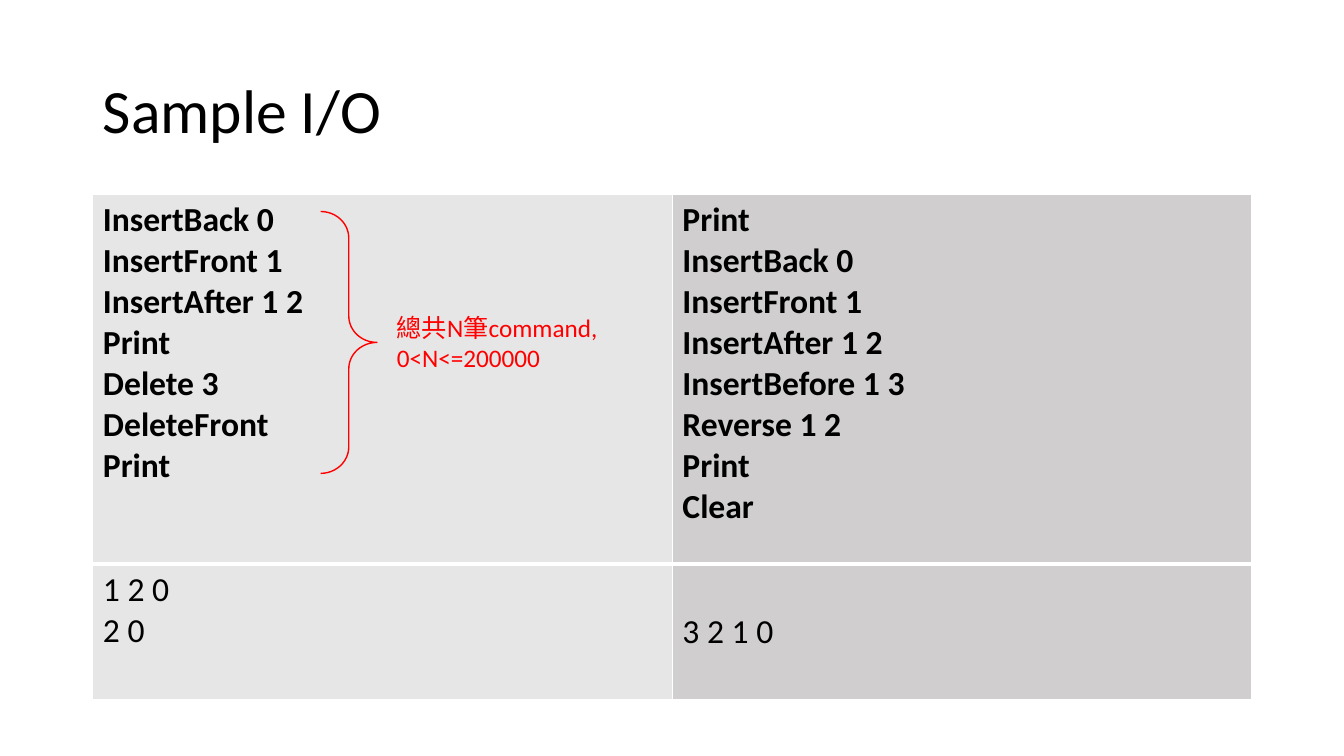
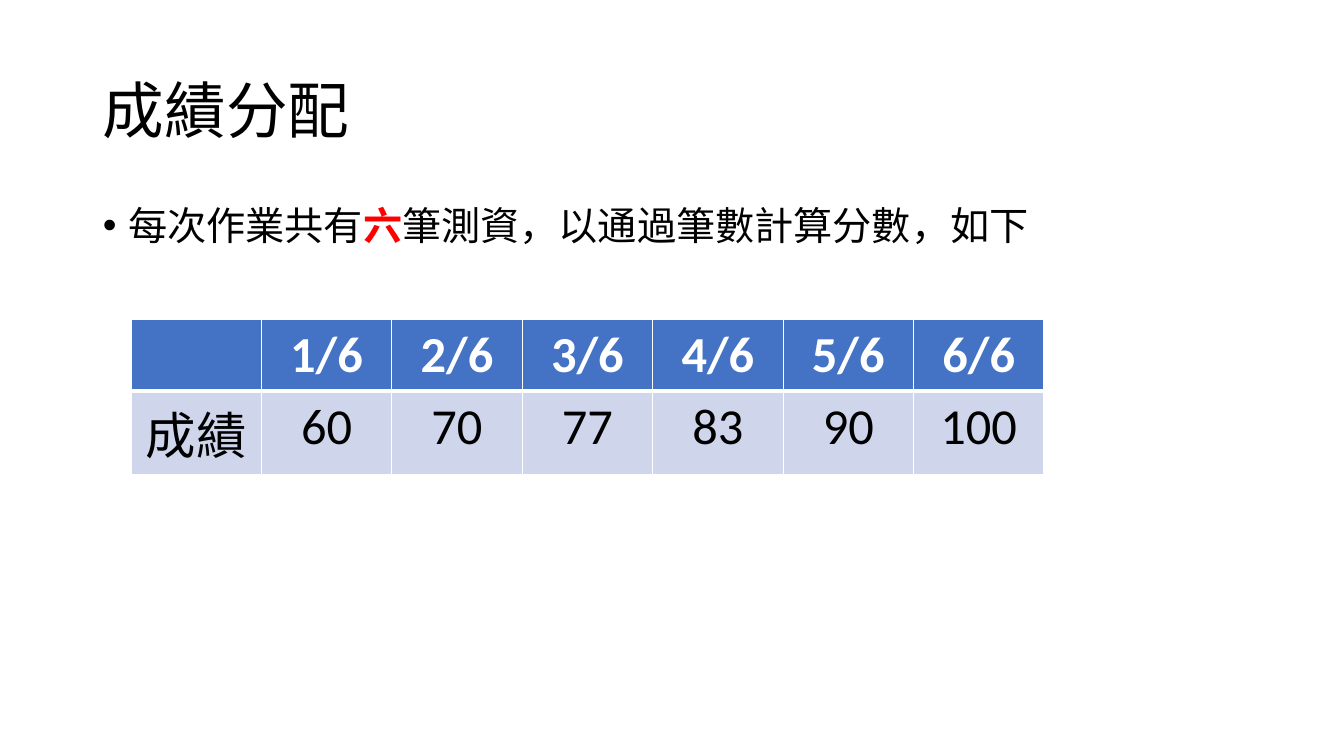
from lxml.etree import SubElement
from pptx import Presentation
from pptx.dml.color import RGBColor
from pptx.enum.shapes import MSO_SHAPE
from pptx.enum.text import MSO_ANCHOR, PP_ALIGN
from pptx.oxml.ns import qn
from pptx.util import Cm, Pt

FONT = "Calibri"
BLACK = RGBColor(0x00, 0x00, 0x00)
WHITE = RGBColor(0xFF, 0xFF, 0xFF)
RED = RGBColor(0xFF, 0x00, 0x00)
BLUE = RGBColor(0x44, 0x72, 0xC4)
PALE_BLUE = RGBColor(0xCF, 0xD5, 0xEA)
LIGHT_GRAY = RGBColor(0xE7, 0xE6, 0xE6)
GRAY = RGBColor(0xD0, 0xCE, 0xCE)

TITLE_ONLY = 5
TITLE_AND_BODY = 1
LEFT = Cm(2.34)
CONTENT_WIDTH = Cm(29.21)

COMMANDS = [
    "InsertBack 0\nInsertFront 1\nInsertAfter 1 2\nPrint\nDelete 3\nDeleteFront\nPrint",
    "Print\nInsertBack 0\nInsertFront 1\nInsertAfter 1 2\nInsertBefore 1 3\n"
    "Reverse 1 2 \vPrint\nClear",
]
OUTPUTS = ["1 2 0\n2 0", "3 2 1 0"]
PASSED = [""] + [f"{count}/6" for count in range(1, 7)]
SCORES = ["成績", "60", "70", "77", "83", "90", "100"]


def format_span(span, size, color, bold=False):
    span.font.name = FONT
    span.font.size = Pt(size)
    span.font.bold = bold
    span.font.color.rgb = color


def format_text(frame, size, color, bold=False, align=PP_ALIGN.LEFT):
    for para in frame.paragraphs:
        para.alignment = align
        for span in para.runs:
            format_span(span, size, color, bold)


def place(box, left, top, width, height):
    box.left, box.top, box.width, box.height = left, top, width, height


def add_page(deck, layout, title):
    page = deck.slides.add_slide(deck.slide_layouts[layout])
    box = page.shapes.title
    place(box, LEFT, Cm(1.02), CONTENT_WIDTH, Cm(3.68))
    frame = box.text_frame
    frame.text = title
    frame.vertical_anchor = MSO_ANCHOR.MIDDLE
    frame.paragraphs[0].line_spacing = 0.9
    format_text(frame, 44, BLACK)
    return page


def add_bullet(page, parts):
    box = page.placeholders[1]
    place(box, LEFT, Cm(5.08), CONTENT_WIDTH, Cm(12.09))
    para = box.text_frame.paragraphs[0]
    para.line_spacing = 0.9
    para.space_before = Pt(10)
    properties = para._p.get_or_add_pPr()
    properties.set("marL", str(Cm(0.64)))
    properties.set("indent", str(-Cm(0.64)))
    for text, color, bold in parts:
        span = para.add_run()
        span.text = text
        format_span(span, 28, color, bold)


def set_borders(cell, bottom):
    properties = cell._tc.get_or_add_tcPr()
    for side, width in (("lnL", 1), ("lnR", 1), ("lnT", 1), ("lnB", bottom)):
        line = SubElement(properties, qn(f"a:{side}"), w=str(Pt(width)))
        fill = SubElement(line, qn("a:solidFill"))
        SubElement(fill, qn("a:srgbClr"), val=str(WHITE))


def format_cell(cell, text, fill, size, color, bold, align):
    cell.text_frame.text = text
    format_text(cell.text_frame, size, color, bold, align)
    set_borders(cell, 3 if bold else 1)
    cell.fill.solid()
    cell.fill.fore_color.rgb = fill


def add_grid(page, rows, left, top, width, heights, fills, size, header_color, align):
    table = page.shapes.add_table(
        len(rows), len(rows[0]), left, top, width, sum(heights)
    ).table
    for row_index, texts in enumerate(rows):
        table.rows[row_index].height = heights[row_index]
        header = row_index == 0
        color = header_color if header else BLACK
        for column, text in enumerate(texts):
            format_cell(table.cell(row_index, column), text,
                        fills[row_index][column], size, color, header, align)
    return table


def add_brace(page, left, top, width, height):
    brace = page.shapes.add_shape(MSO_SHAPE.RIGHT_BRACE, left, top, width, height)
    brace.adjustments[0] = 0.47
    brace.adjustments[1] = 0.5
    brace.shadow.inherit = False
    brace.fill.background()
    brace.line.color.rgb = RED
    brace.line.width = Pt(1)


def add_note(page, text, left, top, width, height):
    box = page.shapes.add_textbox(left, top, width, height)
    box.text_frame.word_wrap = True
    box.text_frame.text = text
    format_text(box.text_frame, 18, RED)


def add_sample_page(deck):
    page = add_page(deck, TITLE_ONLY, "Sample I/O")
    table = add_grid(page, [COMMANDS, OUTPUTS], LEFT, Cm(4.9), CONTENT_WIDTH,
                     [Cm(9.32), Cm(3.4)], [[LIGHT_GRAY, GRAY]] * 2,
                     24, BLACK, PP_ALIGN.LEFT)
    table.cell(1, 1).vertical_anchor = MSO_ANCHOR.MIDDLE
    add_brace(page, Cm(8.08), Cm(5.33), Cm(1.42), Cm(6.6))
    add_note(page, "總共N筆command, 0<N<=200000",
             Cm(9.75), Cm(7.75), Cm(6.12), Cm(1.8))


def add_score_page(deck):
    page = add_page(deck, TITLE_AND_BODY, "成績分配")
    add_bullet(page, [
        ("每次作業共有", BLACK, False),
        ("六", RED, True),
        ("筆測資，以通過筆數計算分數，如下", BLACK, False),
    ])
    columns = len(SCORES)
    add_grid(page, [PASSED, SCORES], Cm(3.3), Cm(8.05), Cm(23.01),
             [Cm(1.78)] * 2, [[BLUE] * columns, [PALE_BLUE] * columns],
             36, WHITE, PP_ALIGN.CENTER)


def main():
    deck = Presentation()
    deck.slide_width = Cm(33.87)
    deck.slide_height = Cm(19.05)
    add_sample_page(deck)
    add_score_page(deck)
    deck.save("out.pptx")


main()
